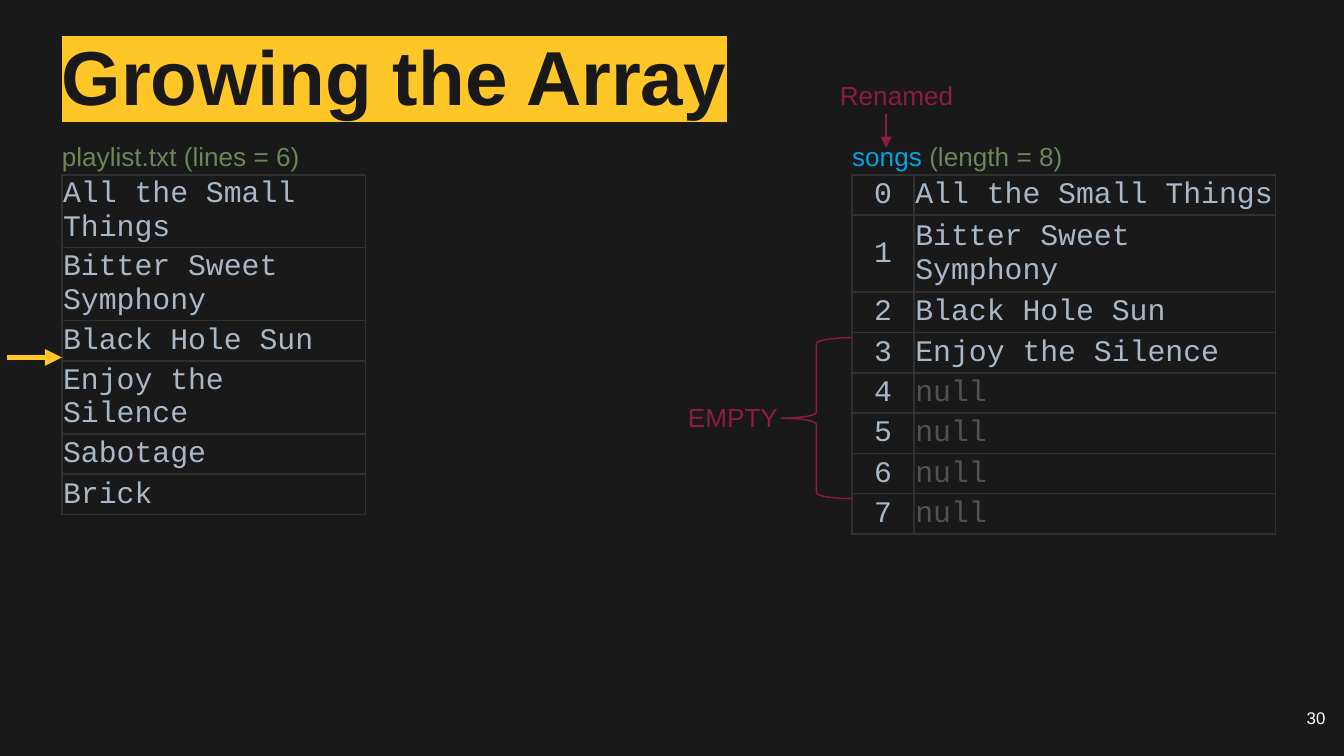
from lxml import etree
from pptx import Presentation
from pptx.dml.color import RGBColor
from pptx.enum import shapes, text
from pptx.oxml import ns
from pptx.util import Pt

DARK, YELLOW, MAROON = "191919", "FFC627", "8C1D40"
GREEN, BLUE, CODE, FADED, GRID = "6A8759", "00A3E0", "A9B7C6", "525252", "303030"
LEFT, RIGHT = 33.1, 456.5
TABLE_TOP, ROW_HEIGHT = 93.6, 21.6
PLAYLIST = ["All the Small Things", "Bitter Sweet Symphony", "Black Hole Sun",
            "Enjoy the Silence", "Sabotage", "Brick"]


def color(value):
    return RGBColor.from_string(value)


def add_element(parent, tag, **attributes):
    return etree.SubElement(parent, ns.qn(tag), attributes)


def set_font(font, size, name, value):
    font.size, font.name = Pt(size), name
    font.color.rgb = color(value)


def add_text(page, place, spans, size, insets=(0, 0, 0, 0), wrap=True):
    """Add one paragraph made of (wording, colour) spans."""
    box = page.shapes.add_textbox(*map(Pt, place))
    frame = box.text_frame
    frame.word_wrap = wrap
    (frame.margin_left, frame.margin_top,
     frame.margin_right, frame.margin_bottom) = map(Pt, insets)
    para = frame.paragraphs[0]
    set_font(para.font, size, "Arial", spans[0][1])
    for wording, value in spans:
        span = para.add_run()
        span.text = wording
        if len(spans) > 1:
            span.font.color.rgb = color(value)
    return frame


def add_title(page, wording):
    frame = add_text(page, (LEFT, 25.2, 662.4, 36), [(wording, DARK)], 41, (0, 3, 5, 3))
    frame.vertical_anchor = text.MSO_ANCHOR.MIDDLE
    para = frame.paragraphs[0]
    para.line_spacing = 0.9
    para.font.bold = True
    # Marker-pen background behind the words
    highlight = add_element(para.runs[0]._r.get_or_add_rPr(), "a:highlight")
    add_element(highlight, "a:srgbClr", val=YELLOW)


def fill_cell(cell, wording, centered):
    cell.text = wording
    cell.vertical_anchor = text.MSO_ANCHOR.MIDDLE
    cell.margin_left = cell.margin_top = cell.margin_right = Pt(0.7)
    cell.margin_bottom = 0
    para = cell.text_frame.paragraphs[0]
    para.alignment = text.PP_ALIGN.CENTER if centered else text.PP_ALIGN.LEFT
    set_font(para.font, 16, "Courier New", FADED if wording == "null" else CODE)
    properties = cell._tc.get_or_add_tcPr()
    for side in ("a:lnL", "a:lnR", "a:lnT", "a:lnB"):
        border = add_element(properties, side, w=str(Pt(1)))
        add_element(add_element(border, "a:solidFill"), "a:srgbClr", val=GRID)
    cell.fill.solid()
    cell.fill.fore_color.rgb = color(DARK)


def add_grid(page, left, widths, rows):
    frame = page.shapes.add_table(len(rows), len(widths), Pt(left), Pt(TABLE_TOP),
                                  Pt(sum(widths)), Pt(ROW_HEIGHT * len(rows)))
    table = frame.table
    table.first_row = table.horz_banding = False
    for column, width in zip(table.columns, widths):
        column.width = Pt(width)
    for row, values in zip(table.rows, rows):
        row.height = Pt(ROW_HEIGHT)
        for cell, wording in zip(row.cells, values):
            fill_cell(cell, wording, wording.isdigit())
    return table


def add_arrow(page, start, end, value, width):
    arrow = page.shapes.add_connector(shapes.MSO_CONNECTOR.STRAIGHT,
                                      *map(Pt, start + end))
    arrow.line.color.rgb = color(value)
    arrow.line.width = Pt(width)
    add_element(arrow.line._get_or_add_ln(), "a:tailEnd", type="triangle")
    add_element(arrow._element.spPr, "a:effectLst")


def add_brace(page, place):
    brace = page.shapes.add_shape(shapes.MSO_SHAPE.RIGHT_BRACE, *map(Pt, place))
    brace.rotation = 180
    brace.shadow.inherit = False
    brace.fill.background()
    brace.line.color.rgb = color(MAROON)
    brace.line.width = Pt(0.75)


def add_label(page, place, wording):
    add_text(page, place, [(wording, MAROON)], 14, (7.2, 3.6, 7.2, 3.6), wrap=False)


def main():
    deck = Presentation()
    deck.slide_width, deck.slide_height = Pt(720), Pt(405)
    page = deck.slides.add_slide(deck.slide_layouts[6])
    page.background.fill.solid()
    page.background.fill.fore_color.rgb = color(DARK)

    # Title and page number
    add_title(page, "Growing the Array")
    number = add_text(page, (673.9, 373.7, 43.2, 31), [("30", "FFFFFF")], 9, (7.2,) * 4)
    number.paragraphs[0].alignment = text.PP_ALIGN.RIGHT

    # File with the current line marked
    add_grid(page, LEFT, [162.7], [[song] for song in PLAYLIST])
    add_text(page, (LEFT, 75, 214.6, 17), [("playlist.txt (lines = 6)", GREEN)], 14)

    # Array with its unused half
    slots = PLAYLIST[:4] + ["null"] * 4
    songs = add_grid(page, RIGHT, [33.2, 193.7],
                     [[str(index), song] for index, song in enumerate(slots)])
    wrapped = songs.cell(1, 1)
    wrapped.margin_top, wrapped.margin_bottom = Pt(1.8), Pt(1.1)
    add_text(page, (RIGHT, 75, 203.8, 17),
             [("songs", BLUE), (" (length = 8)", GREEN)], 14)

    # Annotations
    add_brace(page, (418.5, 180.9, 37.7, 86.2))
    add_label(page, (361.4, 211.7, 63.4, 24.2), "EMPTY")
    add_label(page, (442.8, 38.9, 75.6, 24.2), "Renamed")
    add_arrow(page, (474.7, 61.2), (474.7, 79.2), MAROON, 0.75)
    add_arrow(page, (3.7, 191.5), (LEFT, 191.5), YELLOW, 3)

    deck.save("out.pptx")


if __name__ == "__main__":
    main()
